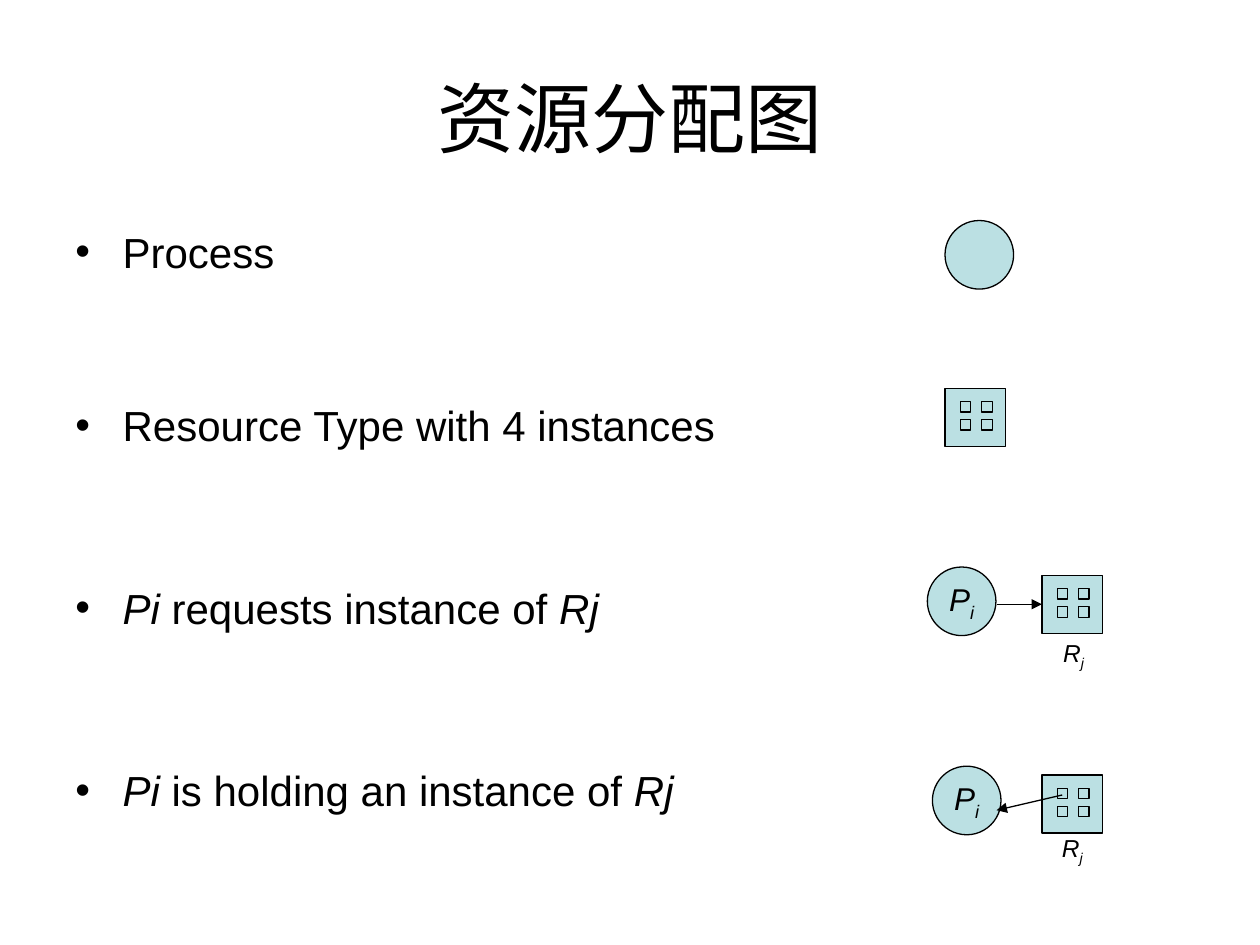
from lxml.etree import SubElement
from pptx import Presentation
from pptx.dml.color import RGBColor
from pptx.enum.shapes import MSO_CONNECTOR, MSO_SHAPE
from pptx.enum.text import MSO_ANCHOR, PP_ALIGN
from pptx.oxml.ns import qn
from pptx.util import Pt

BLACK, PALE_BLUE = "000000", "BBE0E3"
TITLE = "资源分配图"
BULLETS = [
    (0, [("Process", False)]),
    (70.3, [("Resource Type with 4 instances", False)]),
    (75.6, [("Pi", True), (" requests instance of ", False), ("Rj", True)]),
    (75.6, [("Pi", True), (" is holding an instance of ", False), ("Rj", True)]),
]
PROCESSES = [(540, 126, ""), (532.8, 437.8, "Pi"), (529.9, 324, "Pi")]
RESOURCES = [(540, 221.8), (595.4, 328.7), (595.4, 442.8)]
RESOURCE_LABELS = [(600.5, 360.7), (599.8, 472.3)]
CIRCLE_SIZE = 39.2
RESOURCE_WIDTH, RESOURCE_HEIGHT = 34.6, 33.2
INSTANCE_SIZE = 6
INSTANCE_OFFSETS = [(x, y) for y in (7.6, 18) for x in (8.8, 21)]


def color(value):
    return RGBColor.from_string(value)


def apply_format(target, values):
    for name, value in values.items():
        setattr(target, name, value)


def add_run(paragraph, text, size, **font_format):
    run = paragraph.add_run()
    run.text = text
    apply_format(run.font, {"name": "Arial", "size": Pt(size), **font_format})
    run.font.color.rgb = color(BLACK)
    return run


def add_symbol(frame, symbol, size):
    apply_format(frame, {
        "word_wrap": False,
        "vertical_anchor": MSO_ANCHOR.MIDDLE,
        "margin_left": 0,
        "margin_right": 0,
    })
    paragraph = frame.paragraphs[0]
    paragraph.alignment = PP_ALIGN.CENTER
    add_run(paragraph, symbol[0], size, italic=True)
    subscript = add_run(paragraph, symbol[1], size, italic=True)
    subscript.font._element.set("baseline", "-25000")


def add_outlined(shapes, kind, left, top, width, height):
    shape = shapes.add_shape(kind, Pt(left), Pt(top), Pt(width), Pt(height))
    shape.shadow.inherit = False
    shape.fill.solid()
    shape.fill.fore_color.rgb = color(PALE_BLUE)
    shape.line.color.rgb = color(BLACK)
    shape.line.width = Pt(0.75)
    return shape


def add_resource(slide, left, top):
    shapes = slide.shapes.add_group_shape().shapes
    resource = add_outlined(shapes, MSO_SHAPE.RECTANGLE, left, top, RESOURCE_WIDTH, RESOURCE_HEIGHT)
    for x, y in INSTANCE_OFFSETS:
        add_outlined(shapes, MSO_SHAPE.RECTANGLE, left + x, top + y, INSTANCE_SIZE, INSTANCE_SIZE)
    return resource


def add_arrow(slide, *points):
    arrow = slide.shapes.add_connector(MSO_CONNECTOR.STRAIGHT, *[Pt(point) for point in points])
    arrow.line.color.rgb = color(BLACK)
    arrow.line.width = Pt(0.75)
    SubElement(arrow.line._get_or_add_ln(), qn("a:tailEnd"), type="triangle")
    SubElement(arrow._element.spPr, qn("a:effectLst"))
    return arrow


def add_text_frame(slide, left, top, width, height):
    frame = slide.shapes.add_textbox(Pt(left), Pt(top), Pt(width), Pt(height)).text_frame
    frame.word_wrap = True
    return frame


def add_bullets(frame):
    frame.margin_top = Pt(3.2)
    for index, (space_before, runs) in enumerate(BULLETS):
        paragraph = frame.add_paragraph() if index else frame.paragraphs[0]
        paragraph.space_before = Pt(space_before)
        properties = paragraph._element.get_or_add_pPr()
        properties.set("marL", str(Pt(27)))
        properties.set("indent", str(Pt(-27)))
        SubElement(properties, qn("a:buFont"), typeface="Arial")
        SubElement(properties, qn("a:buChar"), char="•")
        for text, italic in runs:
            add_run(paragraph, text, 24, italic=italic)


def main():
    presentation = Presentation()
    apply_format(presentation, {"slide_width": Pt(720), "slide_height": Pt(540)})
    slide = presentation.slides.add_slide(presentation.slide_layouts[6])

    title = add_text_frame(slide, 36, 21.6, 648, 90)
    title.vertical_anchor = MSO_ANCHOR.MIDDLE
    title.paragraphs[0].alignment = PP_ALIGN.CENTER
    add_run(title.paragraphs[0], TITLE, 44)

    for left, top, symbol in PROCESSES:
        process = add_outlined(slide.shapes, MSO_SHAPE.OVAL, left, top, CIRCLE_SIZE, CIRCLE_SIZE)
        if symbol:
            add_symbol(process.text_frame, symbol, 18)

    resources = [add_resource(slide, left, top) for left, top in RESOURCES]
    requested_left, requested_top = RESOURCES[1]
    request_y = requested_top + RESOURCE_HEIGHT / 2
    request = add_arrow(slide, 569.5, request_y, requested_left, request_y)
    request.end_connect(resources[1], 1)
    add_arrow(slide, 607, 454.3, 569.5, 463)

    for left, top in RESOURCE_LABELS:
        add_symbol(add_text_frame(slide, left, top, 25.9, 26.6), "Rj", 14)

    add_bullets(add_text_frame(slide, 36, 126, 648, 356.4))
    presentation.save("out.pptx")


if __name__ == "__main__":
    main()
